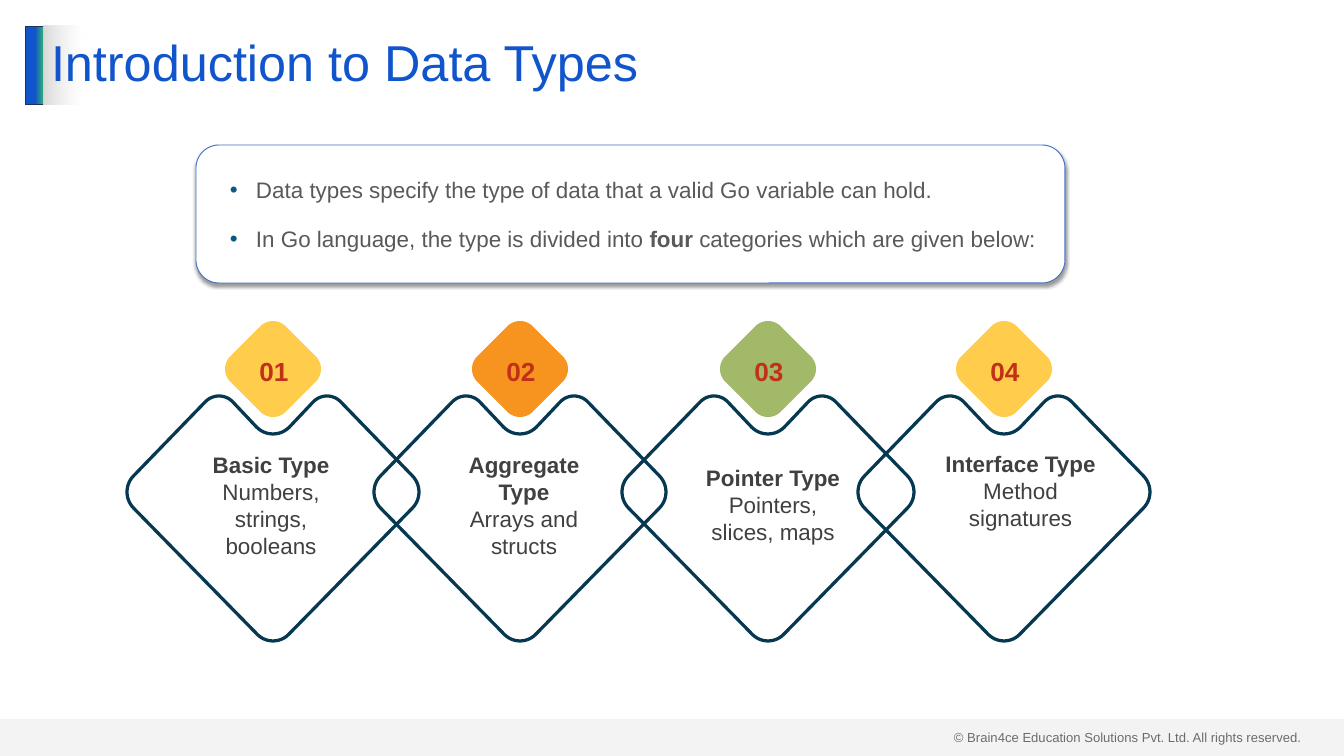
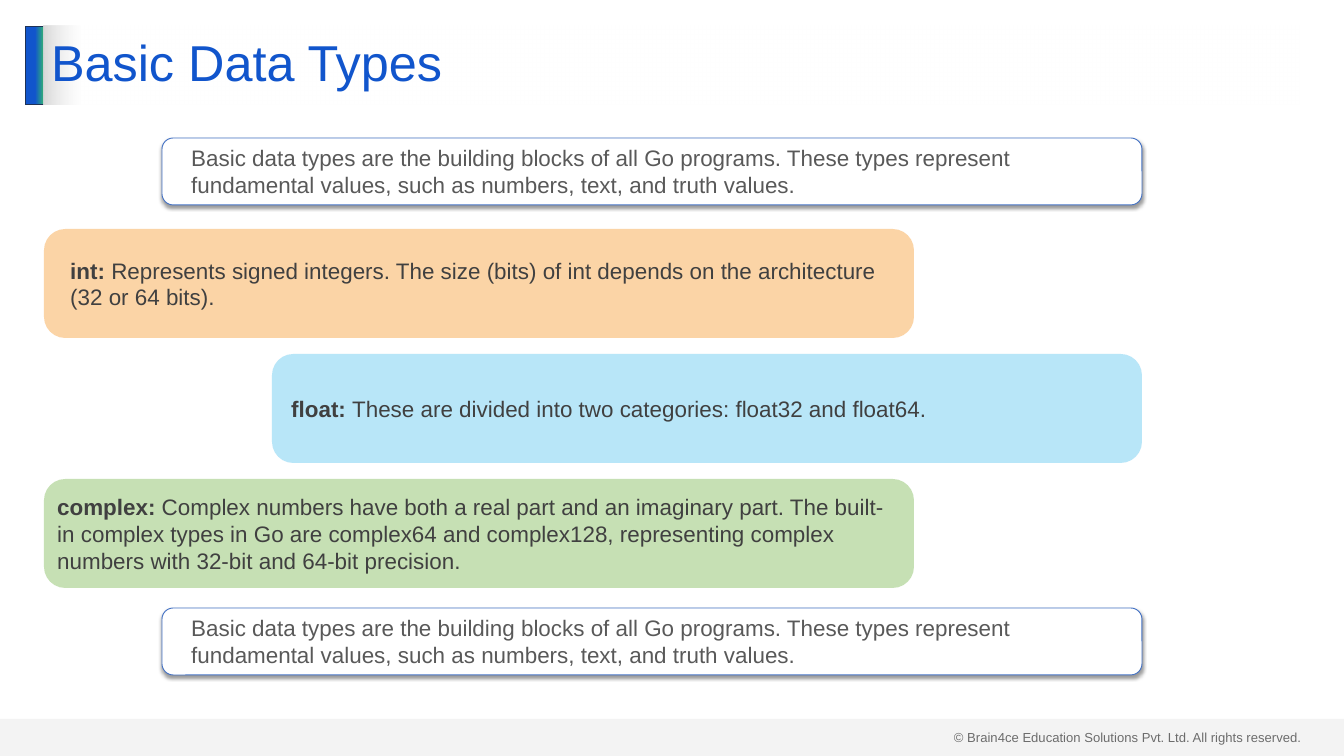
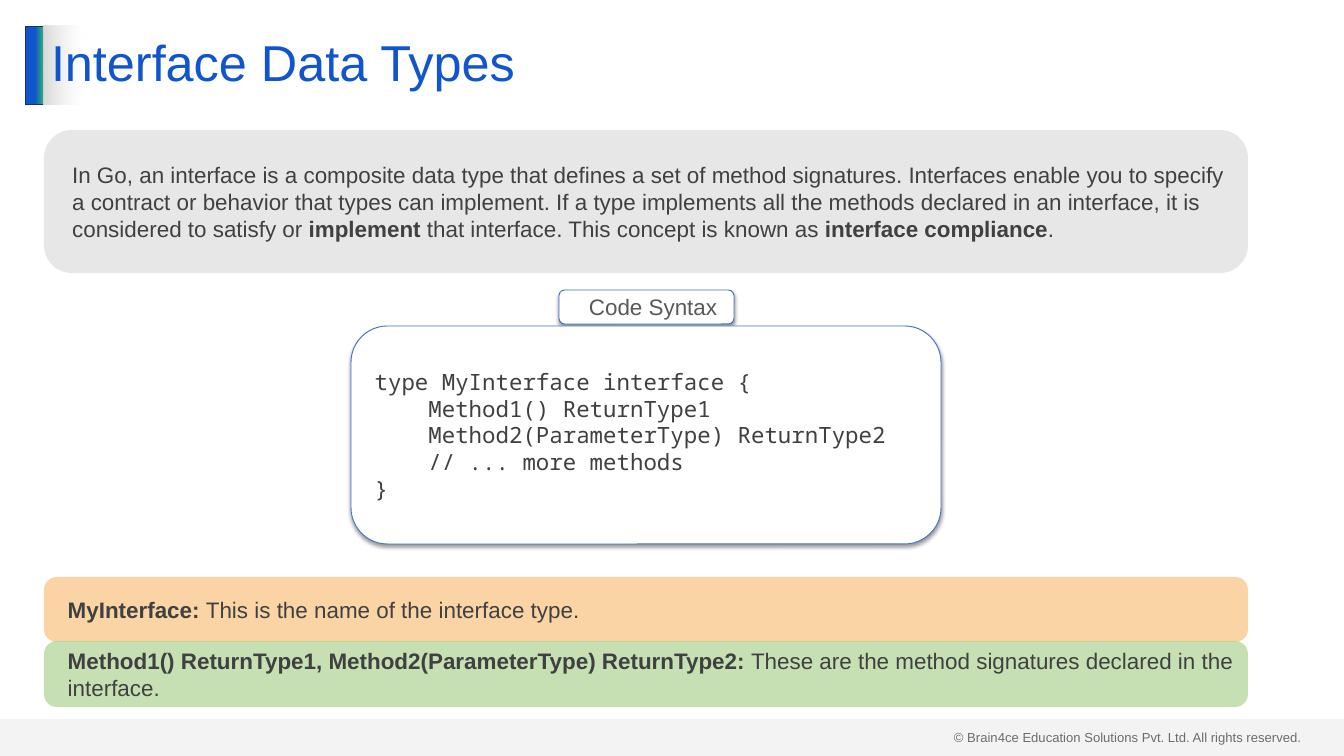
from dataclasses import dataclass
from math import cos, radians, sin

from lxml import etree
from pptx import Presentation
from pptx import util as u
from pptx.dml.color import RGBColor
from pptx.enum import shapes, text
from pptx.oxml import ns


@dataclass(frozen=True)
class Theme:
    font: str = "Arial"
    mono: str = "Noto Sans Mono"
    title_size: int = 54
    body_size: int = 24
    number_size: int = 28
    footer_size: int = 14
    blue: str = "1155CC"
    teal: str = "2EA87D"
    bar_edge: str = "1E3256"
    silver: str = "D9D9D9"
    white: str = "FFFFFF"
    ink: str = "404040"
    grey: str = "595959"
    card_edge: str = "4472C4"
    bullet: str = "095A82"
    frame: str = "063951"
    number: str = "C13018"
    yellow: str = "FFCC4C"
    orange: str = "F7931F"
    green: str = "A2B969"
    peach: str = "FABE79"
    sky: str = "94DAF5"
    leaf: str = "A9D18E"
    ash: str = "DBDBDB"


T = Theme()
PX = 914400 / 67.2
ROUND = shapes.MSO_SHAPE.ROUNDED_RECTANGLE
RECT = shapes.MSO_SHAPE.RECTANGLE
CENTER = text.PP_ALIGN.CENTER
MIDDLE = text.MSO_ANCHOR.MIDDLE


def write(tf, content, size=T.body_size, color=T.ink, font=T.font, align=text.PP_ALIGN.LEFT,
          anchor=MIDDLE, inset=(7, 3), indent=0, hanging=0, bullet=None, gap=0, spacing=1.0):
    tf.word_wrap = True
    tf.auto_size = text.MSO_AUTO_SIZE.NONE
    tf.vertical_anchor = anchor
    tf.margin_left = tf.margin_right = round(inset[0] * PX)
    tf.margin_top = tf.margin_bottom = round(inset[1] * PX)
    for i, line in enumerate(content.split("\n")):
        p = tf.paragraphs[0] if i == 0 else tf.add_paragraph()
        p.alignment = align
        p.line_spacing = spacing
        p.space_before = u.Pt(gap if i else 0)
        p.space_after = u.Pt(0)
        pPr = p._p.get_or_add_pPr()
        pPr.set("marL", str(round(indent * PX)))
        pPr.set("indent", str(round(-hanging * PX)))
        if bullet:
            clr = etree.SubElement(pPr, ns.qn("a:buClr"))
            etree.SubElement(clr, ns.qn("a:srgbClr"), val=T.bullet)
            etree.SubElement(pPr, ns.qn("a:buFont"), typeface=T.font)
            etree.SubElement(pPr, ns.qn("a:buChar"), char=bullet)
        for j, part in enumerate(line.split("**")):
            if part:
                r = p.add_run()
                r.text = part
                r.font.name = font
                r.font.size = u.Pt(size)
                r.font.bold = j % 2 == 1
                r.font.color.rgb = RGBColor.from_string(color)


def box(s, at, fill, kind=ROUND, alpha=None, line=None, shadow=False, adj=None):
    sp = s.shapes.add_shape(kind, *[round(v * PX) for v in at])
    sp.shadow.inherit = False
    sp.fill.solid()
    sp.fill.fore_color.rgb = RGBColor.from_string(fill)
    if alpha:
        clr = sp.element.xpath("./p:spPr/a:solidFill/a:srgbClr")[0]
        etree.SubElement(clr, ns.qn("a:alpha"), val=str(alpha * 1000))
    if line:
        sp.line.color.rgb = RGBColor.from_string(line)
        sp.line.width = u.Pt(1)
    else:
        sp.line.fill.background()
    if shadow:
        effects = sp.element.xpath("./p:spPr/a:effectLst")[0]
        outer = etree.SubElement(effects, ns.qn("a:outerShdw"), blurRad=str(u.Pt(4)),
                                 dist=str(u.Pt(3)), dir="5400000", algn="t", rotWithShape="0")
        clr = etree.SubElement(outer, ns.qn("a:srgbClr"), val="000000")
        etree.SubElement(clr, ns.qn("a:alpha"), val="40000")
    if adj:
        sp.adjustments[0] = adj
    return sp


CARD = dict(fill=T.white, line=T.card_edge, shadow=True)
CARD_TEXT = dict(color=T.grey, inset=(13, 7), indent=13)
TINT = dict(alpha=66, adj=0.195)

prs = Presentation()
prs.slide_width, prs.slide_height = round(1344 * PX), round(756 * PX)

slides = []
for title, layout in [("Introduction to Data Types", 1), ("Basic Data Types", 5), ("Interface Data Types", 5)]:
    s = prs.slides.add_slide(prs.slide_layouts[layout])
    sp = s.shapes.title
    sp.left, sp.top, sp.width, sp.height = [round(v * PX) for v in (44, 26, 1255, 79)]
    sp.fill.gradient()
    sp.fill.gradient_angle = 0
    for stop, color, position in zip(sp.fill.gradient_stops, (T.silver, T.white), (0, 0.03)):
        stop.color.rgb = RGBColor.from_string(color)
        stop.position = position
    clr = sp.element.xpath(".//a:gs/a:srgbClr")[-1]
    etree.SubElement(clr, ns.qn("a:alpha"), val="50000")
    write(sp.text_frame, title, size=T.title_size, color=T.blue, spacing=0.9)
    slides.append(s)
intro, basic, interface = slides

footer = intro.shapes.add_textbox(*[round(v * PX) for v in (947, 726, 364, 23)])
write(footer.text_frame, "© Brain4ce Education Solutions Pvt. Ltd. All rights reserved.", size=T.footer_size)
bar = box(intro, (25, 26, 20, 79), T.blue, kind=RECT, line=T.bar_edge)
bar.fill.gradient()
bar.fill.gradient_angle = 0
for stop, color, position in zip(bar.fill.gradient_stops, (T.blue, T.teal), (0.51, 0.9)):
    stop.color.rgb = RGBColor.from_string(color)
    stop.position = position
band = box(intro, (0, 719, 1344, 37), T.silver, kind=RECT, alpha=29)
for i, sp in enumerate((footer, bar, band)):
    sp.element.xpath(".//p:cNvPr")[0].set("id", str(100 + i))
    prs.slide_master.shapes.element.append(sp.element)

box(intro, (196, 145, 869, 138), **CARD)
body = intro.placeholders[1]
body.left, body.top, body.width, body.height = [round(v * PX) for v in (203, 145, 855, 138)]
intro.shapes.element.append(body.element)
write(body.text_frame,
      "Data types specify the type of data that a valid Go variable can hold.\n"
      "In Go language, the type is divided into **four** categories which are given below:",
      color=T.grey, inset=(13, 7), indent=40, hanging=26, bullet="•", gap=24)

FRAME_ARCS = [(0, 411, 23, 135, 45), (54, 415, 19, 225, 315), (123, 492, 23, -45, 45),
              (0, 619, 22, 45, 135), (-123, 492, 23, 135, 225), (-54, 415, 19, 225, 315)]
BADGE_ARCS = [(30, 369, 18, -45, 45), (0, 399, 18, 45, 135),
              (-30, 369, 18, 135, 225), (0, 339, 18, 225, 315)]
ARC_STEPS = 12

categories = [
    (273, T.yellow, "**Basic Type**\nNumbers, strings, booleans", (196, 446, 150, 116)),
    (520, T.orange, "**Aggregate Type**\nArrays and structs", (449, 446, 150, 116)),
    (768, T.green, "**Pointer Type**\nPointers, slices, maps", (696, 460, 154, 88)),
    (1004, T.yellow, "**Interface Type**\nMethod signatures", (933, 446, 175, 88)),
]
for n, (cx, color, label, at) in enumerate(categories, 1):
    for arcs in (FRAME_ARCS, BADGE_ARCS):
        points = []
        for dx, cy, radius, start, end in arcs:
            for k in range(ARC_STEPS + 1):
                a = radians(start + (end - start) * k / ARC_STEPS)
                points.append((round((cx + dx + radius * cos(a)) * PX), round((cy + radius * sin(a)) * PX)))
        outline = intro.shapes.build_freeform(*points[0])
        outline.add_line_segments(points[1:], close=True)
        sp = outline.convert_to_shape()
        sp.shadow.inherit = False
        if arcs is FRAME_ARCS:
            sp.fill.background()
            sp.line.color.rgb = RGBColor.from_string(T.frame)
            sp.line.width = u.Pt(3.5)
        else:
            sp.fill.solid()
            sp.fill.fore_color.rgb = RGBColor.from_string(color)
            sp.line.fill.background()
    sp = intro.shapes.add_textbox(*[round(v * PX) for v in at])
    write(sp.text_frame, label, align=CENTER, anchor=text.MSO_ANCHOR.BOTTOM, inset=(0, 3))
    sp = intro.shapes.add_textbox(*[round(v * PX) for v in (cx - 29, 352, 60, 38)])
    write(sp.text_frame, f"**{n:02}**", size=T.number_size, color=T.number, align=CENTER)

SUMMARY = ("Basic data types are the building blocks of all Go programs. "
           "These types represent fundamental values, such as numbers, text, and truth values.")
for top in (138, 608):
    sp = box(basic, (162, top, 980, 67), **CARD)
    write(sp.text_frame, SUMMARY, **CARD_TEXT)

kinds = [
    (44, T.peach, 13, "**int: **Represents signed integers. The size (bits) of int depends on the "
                      "architecture (32 or 64 bits)."),
    (272, T.sky, 6, "**float: **These are divided into two categories: float32 and float64."),
    (44, T.leaf, 0, "**complex:** Complex numbers have both a real part and an imaginary part. "
                    "The built-in complex types in Go are complex64 and complex128, "
                    "representing complex numbers with 32-bit and 64-bit precision."),
]
for i, (left, color, indent, content) in enumerate(kinds):
    sp = box(basic, (left, 229 + 125 * i, 870, 109), color, **TINT)
    write(sp.text_frame, content, indent=indent)

notes = [
    (130, 143, T.ash, "In Go, an interface is a composite data type that defines a set of method signatures. "
                      "Interfaces enable you to specify a contract or behavior that types can implement. "
                      "If a type implements all the methods declared in an interface, it is considered to "
                      "satisfy or **implement** that interface. This concept is known as "
                      "**interface compliance**."),
    (577, 65, T.peach, "**MyInterface: **This is the name of the interface type."),
    (641, 66, T.leaf, "**Method1() ReturnType1, Method2(ParameterType) ReturnType2: **"
                      "These are the method signatures declared in the interface."),
]
for top, height, color, content in notes:
    sp = box(interface, (44, top, 1204, height), color, **TINT)
    write(sp.text_frame, content, indent=13)

sp = box(interface, (559, 290, 175, 34), **CARD)
write(sp.text_frame, "Code Syntax", align=CENTER, **CARD_TEXT)
sp = box(interface, (351, 326, 590, 218), **CARD)
write(sp.text_frame, """type MyInterface interface {
    Method1() ReturnType1
    Method2(ParameterType) ReturnType2
    // ... more methods
}""", font=T.mono, inset=(13, 7))

prs.save("out.pptx")
